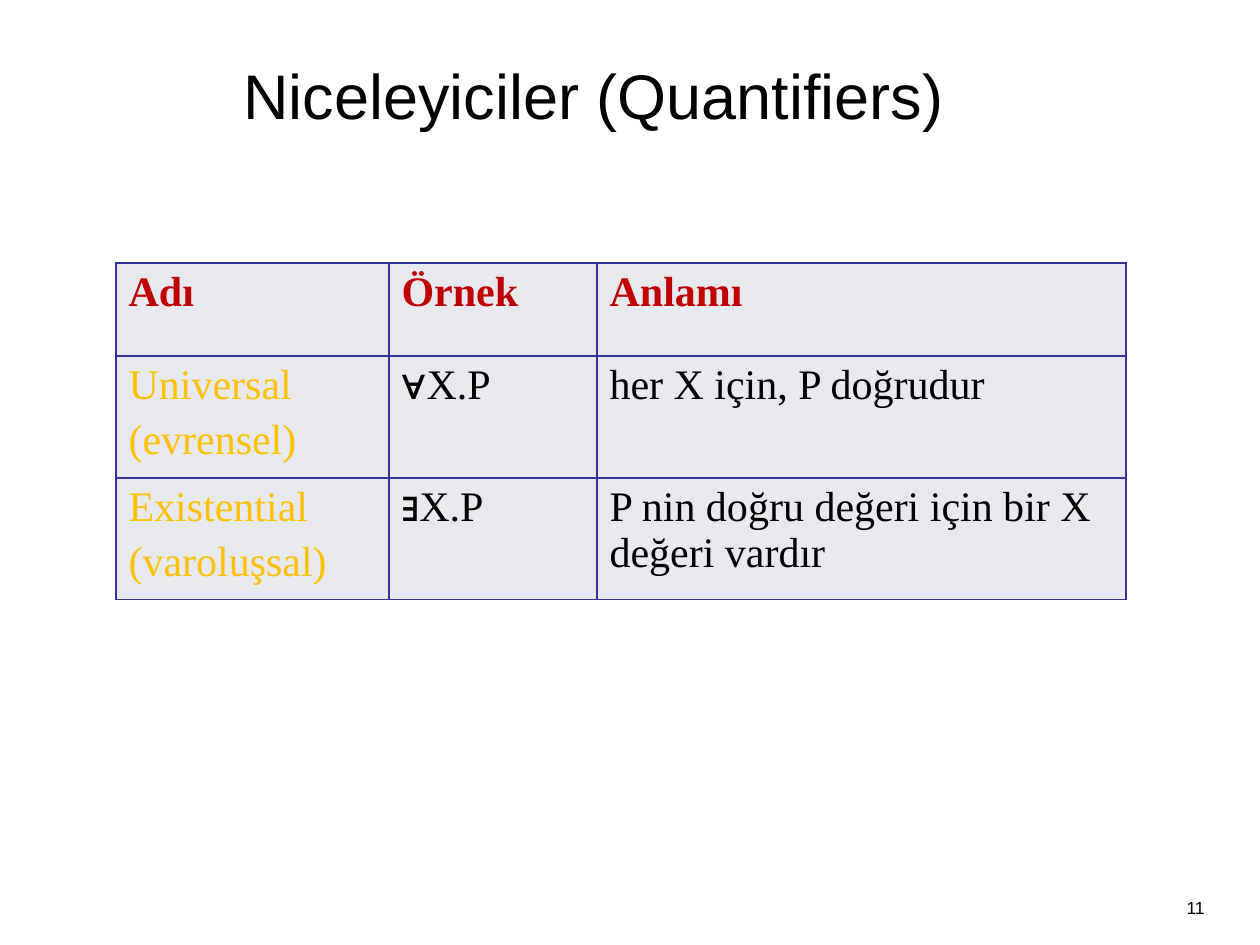
import pptx
import pptx.util
import pptx.dml.color
import pptx.enum.text
import pptx.oxml.ns
import lxml.etree

SCALE = 914400 / 126
COLORS = {
    "black": "000000",
    "heading": "C00000",
    "name": "FFC000",
    "cell": "E8E8EF",
    "border": "333399",
}
COLUMN_WIDTHS = [273, 208, 529]
ROW_HEIGHTS = [93, 114, 114]
QUANTIFIERS = [
    ["Adı", "Örnek", "Anlamı"],
    ["Universal\n(evrensel)", "∀X.P", "her X için, P doğrudur"],
    ["Existential\n(varoluşsal)", "∃X.P", "P nin doğru değeri için bir X değeri vardır"],
]


def px(value):
    return pptx.util.Emu(round(value * SCALE))


def rgb(name):
    return pptx.dml.color.RGBColor.from_string(COLORS[name])


def style(para, font, size, color, bold=False):
    para.font.name = font
    para.font.size = pptx.util.Pt(size)
    para.font.bold = bold
    para.font.color.rgb = rgb(color)


def add_text(page, bounds, text, size, top_margin=6, anchor="TOP", align="LEFT"):
    box = page.shapes.add_textbox(*map(px, bounds))
    frame = box.text_frame
    frame.word_wrap = True
    frame.margin_top = px(top_margin)
    frame.vertical_anchor = pptx.enum.text.MSO_ANCHOR[anchor]
    frame.text = text
    para = frame.paragraphs[0]
    para.alignment = pptx.enum.text.PP_ALIGN[align]
    style(para, "Arial", size, "black")


def add_borders(cell):
    properties = cell._tc.get_or_add_tcPr()
    qn = pptx.oxml.ns.qn
    for index, side in enumerate(["lnL", "lnR", "lnT", "lnB"]):
        line = lxml.etree.Element(qn("a:" + side), w=str(pptx.util.Pt(1)))
        fill = lxml.etree.SubElement(line, qn("a:solidFill"))
        lxml.etree.SubElement(fill, qn("a:srgbClr"), val=COLORS["border"])
        properties.insert(index, line)


def fill_cell(cell, text, color, bold):
    cell.fill.solid()
    cell.fill.fore_color.rgb = rgb("cell")
    add_borders(cell)
    cell.text_frame.text = text
    for para in cell.text_frame.paragraphs:
        para.space_before = pptx.util.Pt(4.8)
        style(para, "Times New Roman", 24, color, bold)


def add_quantifier_table(page, left, top):
    bounds = (left, top, sum(COLUMN_WIDTHS), sum(ROW_HEIGHTS))
    table = page.shapes.add_table(
        len(ROW_HEIGHTS), len(COLUMN_WIDTHS), *map(px, bounds)
    ).table
    table.horz_banding = False
    for column, width in zip(table.columns, COLUMN_WIDTHS):
        column.width = px(width)
    for row, height in zip(table.rows, ROW_HEIGHTS):
        row.height = px(height)
    for row, texts in enumerate(QUANTIFIERS):
        for column, text in enumerate(texts):
            heading = row == 0
            color = "heading" if heading else "name" if column == 0 else "black"
            fill_cell(table.cell(row, column), text, color, heading)


def main():
    deck = pptx.Presentation()
    deck.slide_width = px(1260)
    deck.slide_height = px(945)
    page = deck.slides.add_slide(deck.slide_layouts[6])
    add_text(page, (231, 42, 987, 157), "Niceleyiciler (Quantifiers)", 36, top_margin=14)
    add_quantifier_table(page, 116, 263)
    add_text(page, (955, 861, 262, 63), "11", 10, anchor="BOTTOM", align="RIGHT")
    deck.save("out.pptx")


main()
